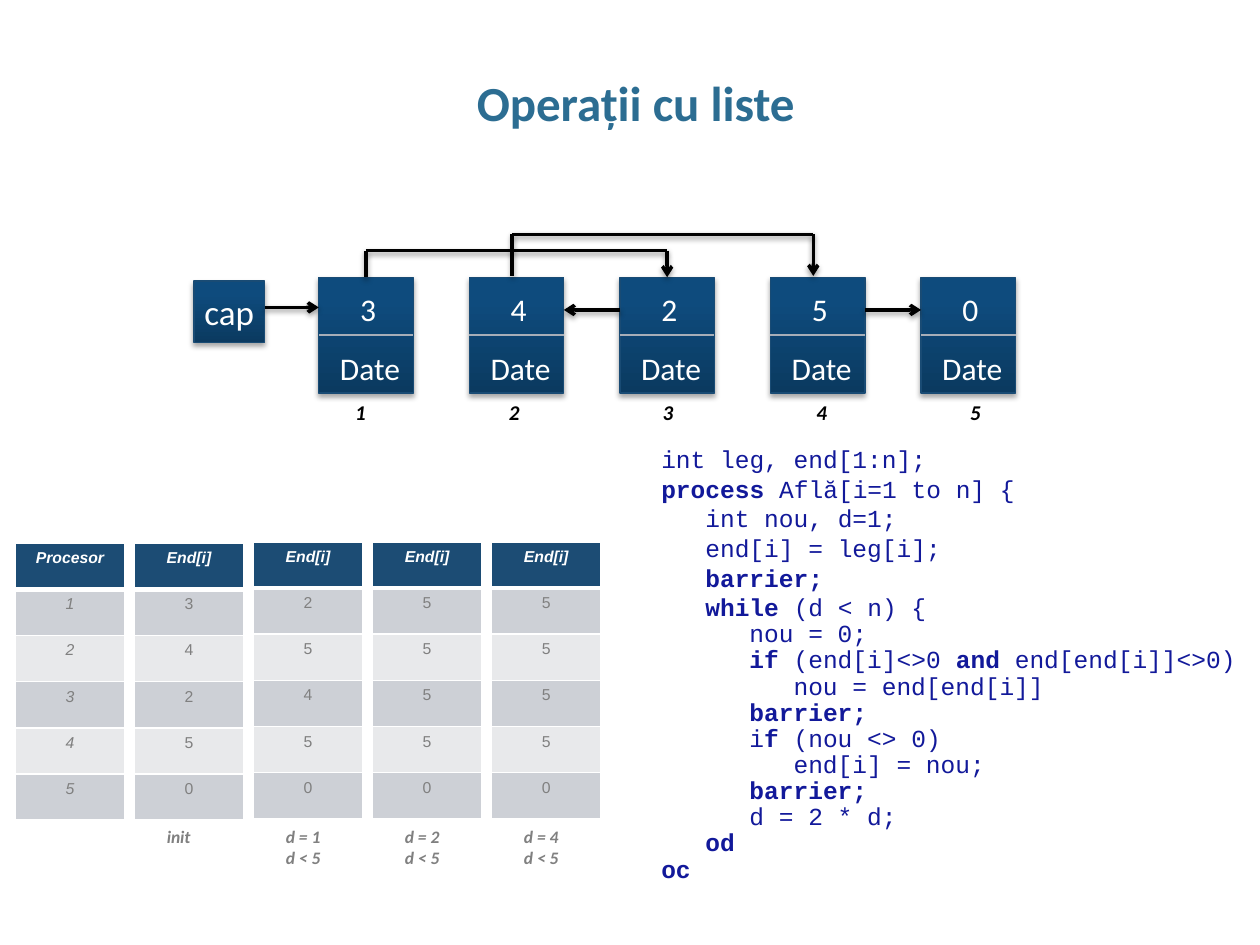
import dataclasses

import lxml.etree
import pptx
import pptx.dml.color
import pptx.enum.shapes
import pptx.enum.text
import pptx.oxml
import pptx.oxml.ns
import pptx.util

COLS, ROWS = 1000, 750
WIDTH, HEIGHT = pptx.util.Inches(10), pptx.util.Inches(7.5)
ALIGN = pptx.enum.text.PP_ALIGN
ANCHOR = pptx.enum.text.MSO_ANCHOR
TOP, LEFT, RIGHT = 0, 1, 3


@dataclasses.dataclass(frozen=True)
class Theme:
    title: dict
    cap: dict
    node: dict
    index: dict
    code: dict
    head: dict
    body: dict
    caption: dict
    black: str = "000000"
    white: str = "FFFFFF"
    node_dark: str = "0B3A60"
    node_light: str = "0E4B7D"
    node_line: str = "194B74"
    divider: str = "A7AEB8"
    head_fill: str = "1C4C74"
    bands: tuple = ("CDD0D6", "E8E9EB")


def style(name, size, color, bold=False, italic=False):
    return dict(name=name, size=pptx.util.Pt(size), color=color, bold=bold, italic=italic)


T = Theme(
    title=style("Calibri", 28, "2C6D92", bold=True),
    cap=style("Calibri", 20, "FFFFFF"),
    node=style("Calibri", 18, "FFFFFF"),
    index=style("Calibri", 12, "000000", True, True),
    code=style("Courier New", 14, "12199A"),
    head=style("Arial", 9, "FFFFFF", True, True),
    body=style("Arial", 9, "808080"),
    caption=style("Calibri", 10, "808080", True, True),
)

# Depth, space before, text; pieces between asterisks are bold.
CODE = [
    (0, 3.5, "int leg, end[1:n];"),
    (0, 3.5, "*process *Află[i=1 to n] {"),
    (1, 3.5, "int nou, d=1;"),
    (1, 3.5, "end[i] = leg[i];"),
    (1, 3.5, "*barrier;*"),
    (1, 3.5, "*while* (d < n) {"),
    (2, 1.5, "nou = 0;"),
    (2, 1.5, "*if* (end[i]<>0 *and* end[end[i]]<>0)"),
    (3, 1.5, "nou = end[end[i]]"),
    (2, 1.5, "*barrier;*"),
    (2, 1.5, "i*f* (nou <> 0)"),
    (3, 1.5, "end[i] = nou;"),
    (2, 1.5, "*barrier;*"),
    (2, 1.5, "d = 2 ⋅ d;"),
    (1, 1.5, "*od*"),
    (0, 1.5, "*oc*"),
]
TABLES = [
    ("Procesor", "12345", ()),
    ("End[i]", "34250", ("init",)),
    ("End[i]", "25450", ("d = 1", "d < 5")),
    ("End[i]", "55550", ("d = 2", "d < 5")),
    ("End[i]", "55550", ("d = 4", "d < 5")),
]


def rgb(color):
    return pptx.dml.color.RGBColor.from_string(color)


def emu(x, y, *size):
    """Grid columns and rows, in alternation, as slide lengths."""
    units = (WIDTH / COLS, HEIGHT / ROWS)
    return [pptx.util.Emu(round(v * units[i % 2])) for i, v in enumerate((x, y, *size))]


def add_run(p, text, fmt):
    r = p.add_run()
    r.text = text
    for key, value in fmt.items():
        if key == "color":
            r.font.color.rgb = rgb(value)
        else:
            setattr(r.font, key, value)


def add_text(s, box, lines, fmt, **para):
    tf = s.shapes.add_textbox(*emu(*box)).text_frame
    tf.word_wrap = True
    for i, line in enumerate(lines):
        p = tf.add_paragraph() if i else tf.paragraphs[0]
        for key, value in para.items():
            setattr(p, key, value)
        add_run(p, line, fmt)
    return tf


def add_shadow(sp, alpha, dist):
    ns = pptx.oxml.ns.nsdecls("a")
    sp._element.spPr.append(pptx.oxml.parse_xml(
        f'<a:effectLst {ns}><a:outerShdw blurRad="{pptx.util.Pt(3.1)}" '
        f'dist="{pptx.util.Pt(dist)}" dir="5400000" rotWithShape="0">'
        f'<a:srgbClr val="{T.black}"><a:alpha val="{alpha * 1000}"/></a:srgbClr>'
        '</a:outerShdw></a:effectLst>'))


def add_line(s, x1, y1, x2, y2, color=T.black, width=2, arrow=False, begin=None, end=None):
    """Straight line; begin and end are (shape, side) joints."""
    c = s.shapes.add_connector(pptx.enum.shapes.MSO_CONNECTOR.STRAIGHT, *emu(x1, y1, x2, y2))
    if begin:
        c.begin_connect(*begin)
    if end:
        c.end_connect(*end)
    c.line.color.rgb = rgb(color)
    c.line.width = pptx.util.Pt(width)
    qn = pptx.oxml.ns.qn
    if arrow:
        ln = c._element.spPr.find(qn("a:ln"))
        lxml.etree.SubElement(ln, qn("a:tailEnd"), type="arrow")
    if color == T.black:
        add_shadow(c, 38, 1.6)
    else:
        lxml.etree.SubElement(c._element.spPr, qn("a:effectLst"))


def add_block(s, box):
    sp = s.shapes.add_shape(pptx.enum.shapes.MSO_SHAPE.RECTANGLE, *emu(*box))
    sp.fill.gradient()
    sp.fill.gradient_angle = 90
    stops = ((0, T.node_dark), (0.8, T.node_light))
    for stop, (position, color) in zip(sp.fill.gradient_stops, stops):
        stop.position = position
        stop.color.rgb = rgb(color)
    sp.line.color.rgb = rgb(T.node_line)
    sp.line.width = pptx.util.Pt(0.75)
    add_shadow(sp, 35, 1.8)
    return sp


def add_node(s, box, value):
    x, y, w, h = box
    sp = add_block(s, box)
    mid = y + h / 2
    add_line(s, x, mid, x + w, mid, T.divider, 0.75, begin=(sp, LEFT), end=(sp, RIGHT))
    add_text(s, (x + 7, y + 52, 80, 34), ["Date"], T.node)
    add_text(s, (x + 23, y + 5, 37, 34), [value], T.node)
    return sp


def add_bridge(s, x1, x2, rail, top, begin=None, end=None):
    """Link that rises from x1, runs along the rail and drops at x2."""
    add_line(s, x1, rail, x2, rail)
    add_line(s, x2, rail, x2, top, arrow=True, end=end)
    add_line(s, x1, rail, x1, top, end=begin)


def add_linked_list(s, box, values):
    x, y, w, h = box
    node_w, node_h, first = 75, 92, x + 99
    pitch = (x + w - node_w - first) / (len(values) - 1)
    xs = [first + i * pitch for i in range(len(values))]
    top = y + h - node_h
    cap = add_block(s, (x, top + 3, 56, 49))
    tf = cap.text_frame
    tf.word_wrap, tf.vertical_anchor = False, ANCHOR.MIDDLE
    tf.paragraphs[0].alignment = ALIGN.CENTER
    add_run(tf.paragraphs[0], "cap", T.cap)
    nodes = [add_node(s, (nx, top, node_w, node_h), v) for nx, v in zip(xs, values)]
    for i in range(len(values)):
        add_text(s, (first + 19 + 122 * i, y + h, 39, 30), [str(i + 1)], T.index)

    add_line(s, x + 56, top + 24, first, top + 24, arrow=True)
    add_line(s, xs[3] + node_w, top + 26, xs[4], top + 26, arrow=True)
    add_line(s, xs[2], top + 26, xs[1] + node_w, top + 26, arrow=True)
    mid = node_w / 2
    add_bridge(s, xs[0] + mid, xs[2] + mid, y + 13, top, (nodes[0], TOP), (nodes[2], TOP))
    add_bridge(s, xs[1] + 34, xs[3] + 34, y, top - 1)


def add_code(s, box):
    tf = add_text(s, box, [], T.code)
    for i, (depth, before, line) in enumerate(CODE):
        p = tf.add_paragraph() if i else tf.paragraphs[0]
        p.line_spacing, p.space_before = 0.8, pptx.util.Pt(before)
        p._p.get_or_add_pPr().set("marL", str(emu(35 * depth, 0)[0]))
        for j, piece in enumerate(line.split("*")):
            if piece:
                add_run(p, piece.replace("⋅", "*"), T.code | {"bold": j % 2 == 1})


def fill_cell(cell, text, fmt, fill, bottom):
    p = cell.text_frame.paragraphs[0]
    p.alignment = ALIGN.CENTER
    add_run(p, text, fmt)
    tcPr = cell._tc.get_or_add_tcPr()
    for side, width in (("lnL", 1), ("lnR", 1), ("lnT", 1), ("lnB", bottom)):
        tcPr.append(pptx.oxml.parse_xml(
            f'<a:{side} {pptx.oxml.ns.nsdecls("a")} w="{pptx.util.Pt(width)}"><a:solidFill>'
            f'<a:srgbClr val="{T.white}"/></a:solidFill></a:{side}>'))
    cell.fill.solid()
    cell.fill.fore_color.rgb = rgb(fill)


def add_column_table(s, box, head, values, italic):
    table = s.shapes.add_table(len(values) + 1, 1, *emu(*box)).table
    fill_cell(table.cell(0, 0), head, T.head, T.head_fill, 3)
    for i, value in enumerate(values):
        fill_cell(table.cell(i + 1, 0), value, T.body | {"italic": italic}, T.bands[i % 2], 1)


def add_tables(s, box):
    x, y, w, h = box
    col_w = 87
    pitch = (w - col_w) / (len(TABLES) - 1)
    for i, (head, values, caption) in enumerate(TABLES):
        left, top = x + i * pitch, y + (1 if i < 2 else 0)
        add_column_table(s, (left, top, col_w, h), head, values, i == 0)
        if caption:
            add_text(s, (left + 16, y + h + 1, 71, 44), caption, T.caption)


def add_title(s, box):
    add_text(s, box, ["Operații cu liste"], T.title, alignment=ALIGN.CENTER, line_spacing=0.95)


def main():
    prs = pptx.Presentation()
    prs.slide_width, prs.slide_height = WIDTH, HEIGHT
    s = prs.slides.add_slide(prs.slide_layouts[6])
    add_title(s, (17, 56, 975, 69))
    add_linked_list(s, (154, 186, 652, 126), "34250")
    add_code(s, (515, 352, 570, 315))
    add_tables(s, (12, 430, 465, 220))
    prs.save("out.pptx")


if __name__ == "__main__":
    main()
